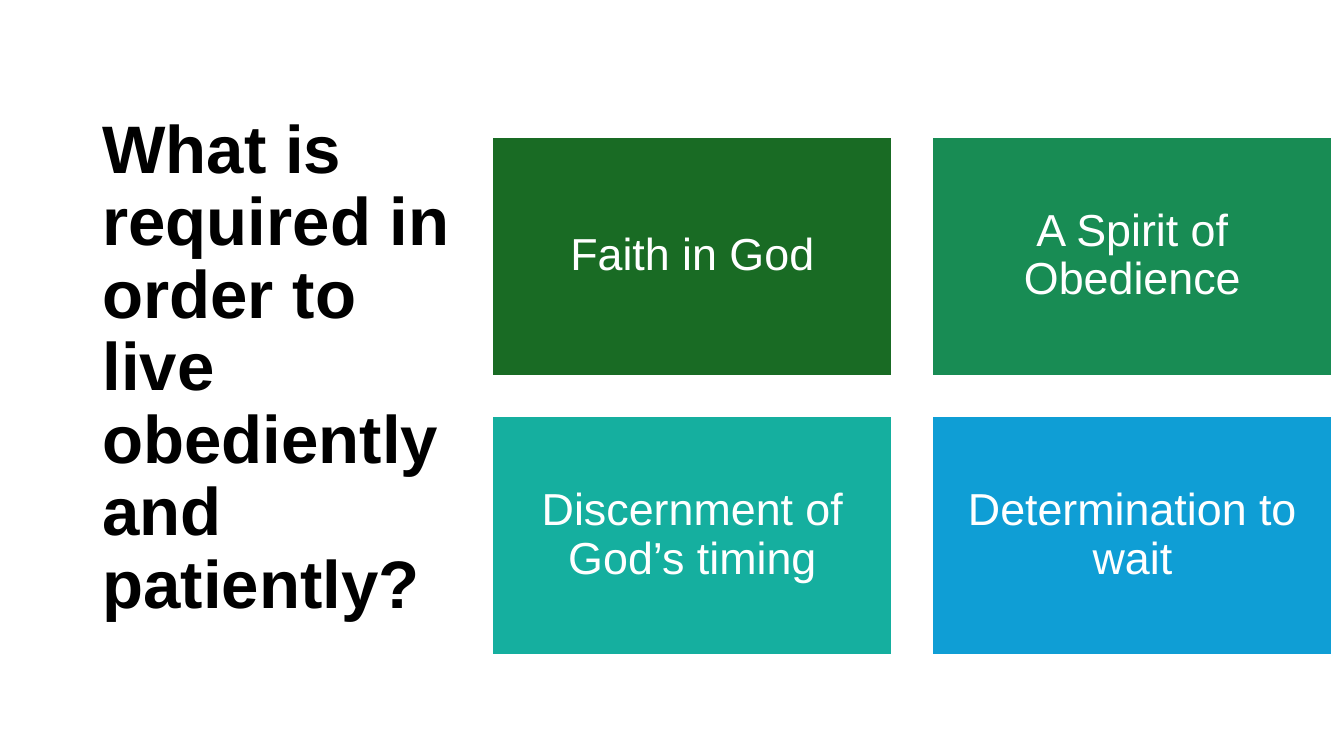
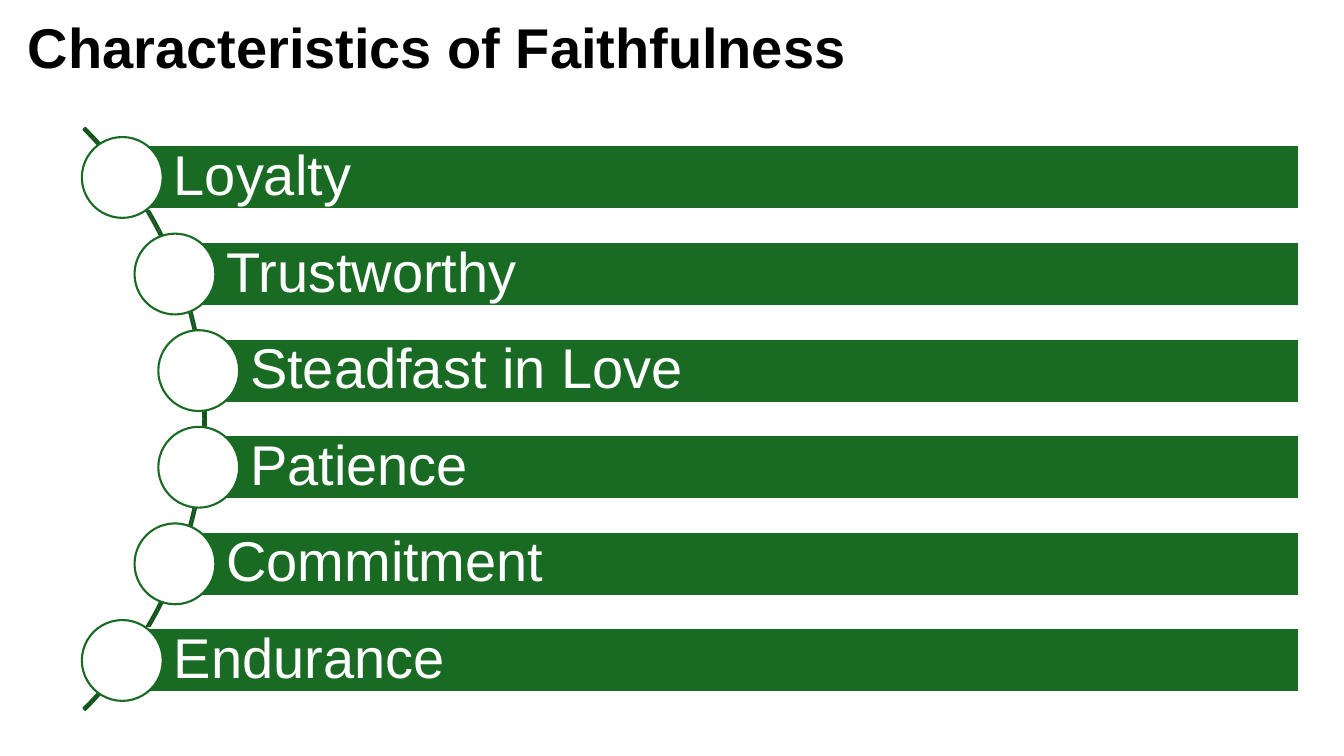
from math import sqrt

from pptx import Presentation
from pptx.dml.color import RGBColor
from pptx.enum.shapes import MSO_SHAPE as SHAPE
from pptx.enum.text import MSO_ANCHOR as ANCHOR, MSO_AUTO_SIZE as AUTO, PP_ALIGN as ALIGN
from pptx.util import Pt

PX = 9525  # EMU per px, 96 px to the inch
SLIDE_W, SLIDE_H = 1280, 720
FONT = "Arial"

BLACK = RGBColor(0x00, 0x00, 0x00)
WHITE = RGBColor(0xFF, 0xFF, 0xFF)
GREEN = RGBColor(0x19, 0x6B, 0x24)
DARK_GREEN = RGBColor(0x14, 0x56, 0x1D)
SEA_GREEN = RGBColor(0x18, 0x8C, 0x54)
TEAL = RGBColor(0x15, 0xAF, 0x9F)
BLUE = RGBColor(0x0F, 0x9E, 0xD5)

REQUIREMENTS = [
    ("Faith in God", GREEN),
    ("A Spirit of Obedience", SEA_GREEN),
    ("Discernment of God’s timing", TEAL),
    ("Determination to wait", BLUE),
]
TRAITS = ["Loyalty", "Trustworthy", "Steadfast in Love",
          "Patience", "Commitment", "Endurance"]


def emu(*lengths):
    return [round(n * PX) for n in lengths]


def set_attrs(obj, values):
    for name, value in values.items():
        setattr(obj, name, value)


def write(sp, text, size, color=WHITE, bold=False, align=ALIGN.LEFT, insets=None):
    """Put one formatted paragraph in sp; insets are left, top, right, bottom in px."""
    tf = sp.text_frame
    set_attrs(tf, {"word_wrap": True, "auto_size": AUTO.NONE,
                   "vertical_anchor": ANCHOR.MIDDLE})
    if insets:
        sides = ("margin_left", "margin_top", "margin_right", "margin_bottom")
        set_attrs(tf, dict(zip(sides, emu(*insets))))
    p = tf.paragraphs[0]
    set_attrs(p, {"alignment": align, "line_spacing": 0.9})
    r = p.add_run()
    r.text = text
    set_attrs(r.font, {"name": FONT, "size": Pt(size), "bold": bold})
    r.font.color.rgb = color


def add_shape(s, kind, box, fill, line):
    sp = s.shapes.add_shape(kind, *emu(*box))
    sp.shadow.inherit = False
    if fill is None:
        sp.fill.background()
    else:
        sp.fill.solid()
        sp.fill.fore_color.rgb = fill
    sp.line.color.rgb = line
    sp.line.width = Pt(1.5)
    return sp


def add_titled_slide(prs, title, box, size):
    s = prs.slides.add_slide(prs.slide_layouts[5])  # Title Only
    sp = s.shapes.title
    set_attrs(sp, dict(zip(("left", "top", "width", "height"), emu(*box))))
    write(sp, title, size, color=BLACK, bold=True)
    return s


def add_card_grid(s, box, cards, cols=2, gap=38):
    """Fill the box with equal coloured cards, row by row."""
    left, top, width, height = box
    rows = -(-len(cards) // cols)
    w = (width - gap * (cols - 1)) / cols
    h = (height - gap * (rows - 1)) / rows
    for i, (text, fill) in enumerate(cards):
        row, col = divmod(i, cols)
        card = (left + col * (w + gap), top + row * (h + gap), w, h)
        sp = add_shape(s, SHAPE.RECTANGLE, card, fill, WHITE)
        write(sp, text, 32, align=ALIGN.CENTER, insets=(12, 12, 12, 12))


def add_curved_list(s, arc_box, right, labels, step=92, bar_h=61, dot=77):
    """Place bars ending at right, with dots that follow the arc."""
    left, top, width, height = arc_box
    cx, cy = left + width / 2, top + height / 2
    track = width / 2 - 4  # the dots sit just inside the arc

    # Arc from 315° to 45°
    arc = add_shape(s, SHAPE.BLOCK_ARC, arc_box, None, DARK_GREEN)
    for i, value in enumerate((189, 27, 0.003)):
        arc.adjustments[i] = value

    # Bars and dots
    for i, label in enumerate(labels):
        dy = (i - (len(labels) - 1) / 2) * step
        x, y = cx + sqrt(track ** 2 - dy ** 2), cy + dy
        bar = add_shape(s, SHAPE.RECTANGLE, (x, y - bar_h / 2, right - x, bar_h),
                        GREEN, WHITE)
        write(bar, label, 40, insets=(49, 11, 11, 11))
        add_shape(s, SHAPE.OVAL, (x - dot / 2, y - dot / 2, dot, dot), WHITE, GREEN)


def main():
    prs = Presentation()
    prs.slide_width, prs.slide_height = emu(SLIDE_W, SLIDE_H)

    # Requirements
    s = add_titled_slide(
        prs, "What is required in order to live obediently and patiently?",
        (88, 59, 354, 585), 48)
    add_card_grid(s, (469, 130, 800, 494), REQUIREMENTS)

    # Characteristics
    s = add_titled_slide(prs, "Characteristics of Faithfulness", (17, 0, 1104, 96), 40)
    add_curved_list(s, (-588, 7, 784, 784), 1237, TRAITS)

    prs.save("out.pptx")


if __name__ == "__main__":
    main()
